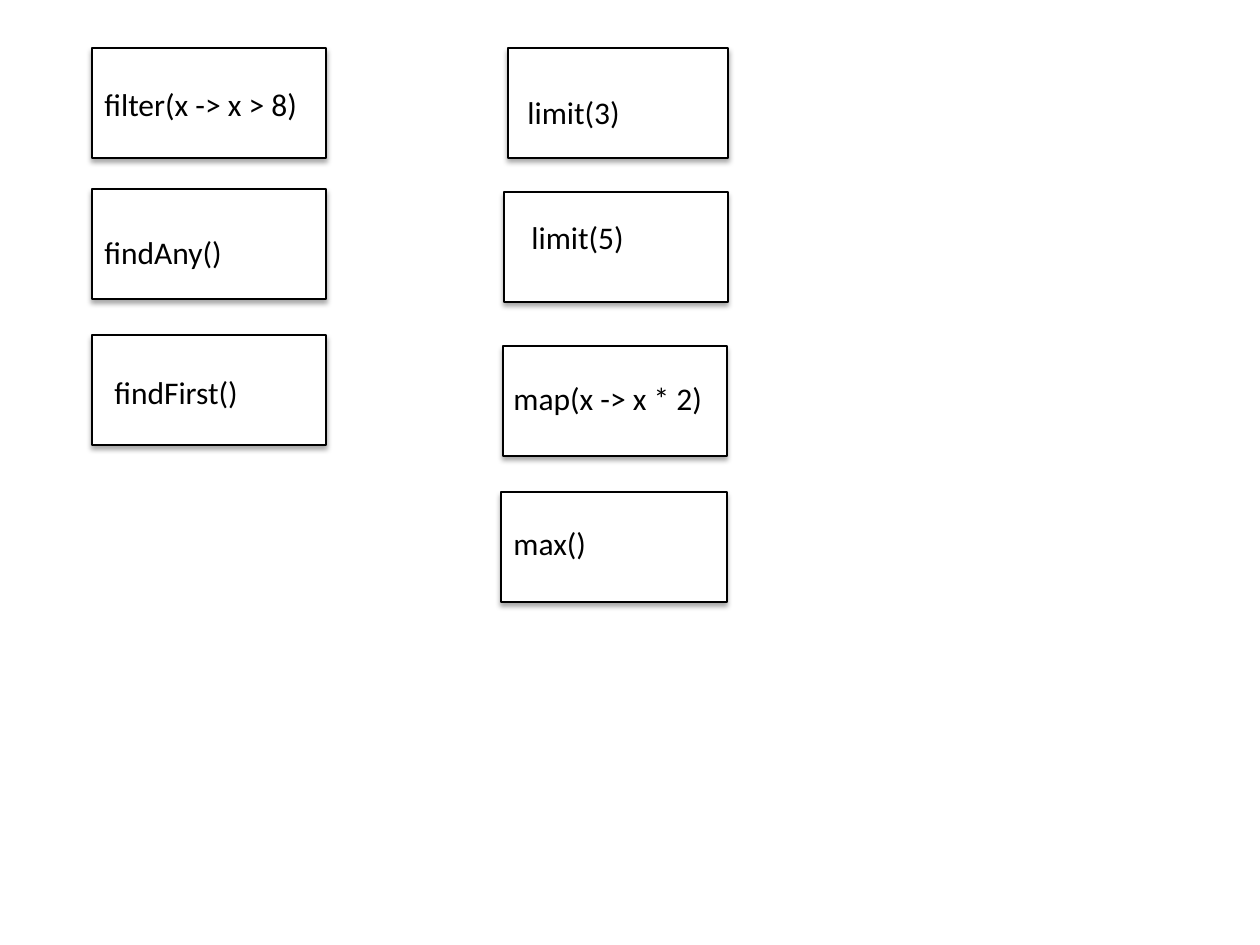
from lxml import etree
from pptx import Presentation
from pptx.dml.color import RGBColor
from pptx.enum.shapes import MSO_SHAPE as SHAPE
from pptx.enum.text import MSO_AUTO_SIZE as AUTO
from pptx.oxml.ns import qn
from pptx.util import Emu, Pt

BOX_H, LABEL_H = 110, 50
OPERATIONS = [
    ("filter(x -> x > 8)", (92, 48, 234), (92, 79, 220), False),
    ("findAny()", (92, 189, 234), (92, 227, 234), True),
    ("findFirst()", (92, 335, 234), (102, 367, 151), False),
    ("limit(3)", (508, 48, 220), (515, 87, 118), False),
    ("limit(5)", (504, 192, 224), (519, 212, 118), False),
    ("map(x -> x * 2)", (503, 346, 224), (501, 373, 215), False),
    ("max()", (501, 492, 226), (501, 518, 100), False),
]


def px(n):
    return Emu(round(n * 914400 / 126))


def color(value):
    return RGBColor.from_string(value)


def add_shadow(sp, blur=3.1, dist=1.8, alpha=35):
    sp.shadow.inherit = False
    effects = sp._element.spPr.find(qn("a:effectLst"))
    outer = etree.SubElement(effects, qn("a:outerShdw"), blurRad=str(Pt(blur)),
                             dist=str(Pt(dist)), dir="5400000", rotWithShape="0")
    rgb = etree.SubElement(outer, qn("a:srgbClr"), val="000000")
    etree.SubElement(rgb, qn("a:alpha"), val=str(alpha * 1000))


def add_box(left, top, width, fill="FFFFFF", line="000000"):
    sp = slide.shapes.add_shape(SHAPE.RECTANGLE, px(left), px(top), px(width), px(BOX_H))
    sp.fill.solid()
    sp.fill.fore_color.rgb = color(fill)
    sp.line.color.rgb = color(line)
    sp.line.width = Pt(0.75)
    add_shadow(sp)


def add_label(text, left, top, width, wrap=False, size=18, font="Calibri", ink="000000"):
    tf = slide.shapes.add_textbox(px(left), px(top), px(width), px(LABEL_H)).text_frame
    tf.word_wrap = wrap
    tf.auto_size = AUTO.SHAPE_TO_FIT_TEXT
    r = tf.paragraphs[0].add_run()
    r.text = text
    r.font.size, r.font.name = Pt(size), font
    r.font.color.rgb = color(ink)


prs = Presentation()
prs.slide_width, prs.slide_height = px(1260), px(945)
slide = prs.slides.add_slide(prs.slide_layouts[6])
for text, box, label, wrap in OPERATIONS:
    add_box(*box)
    add_label(text, *label, wrap=wrap)
prs.save("out.pptx")
